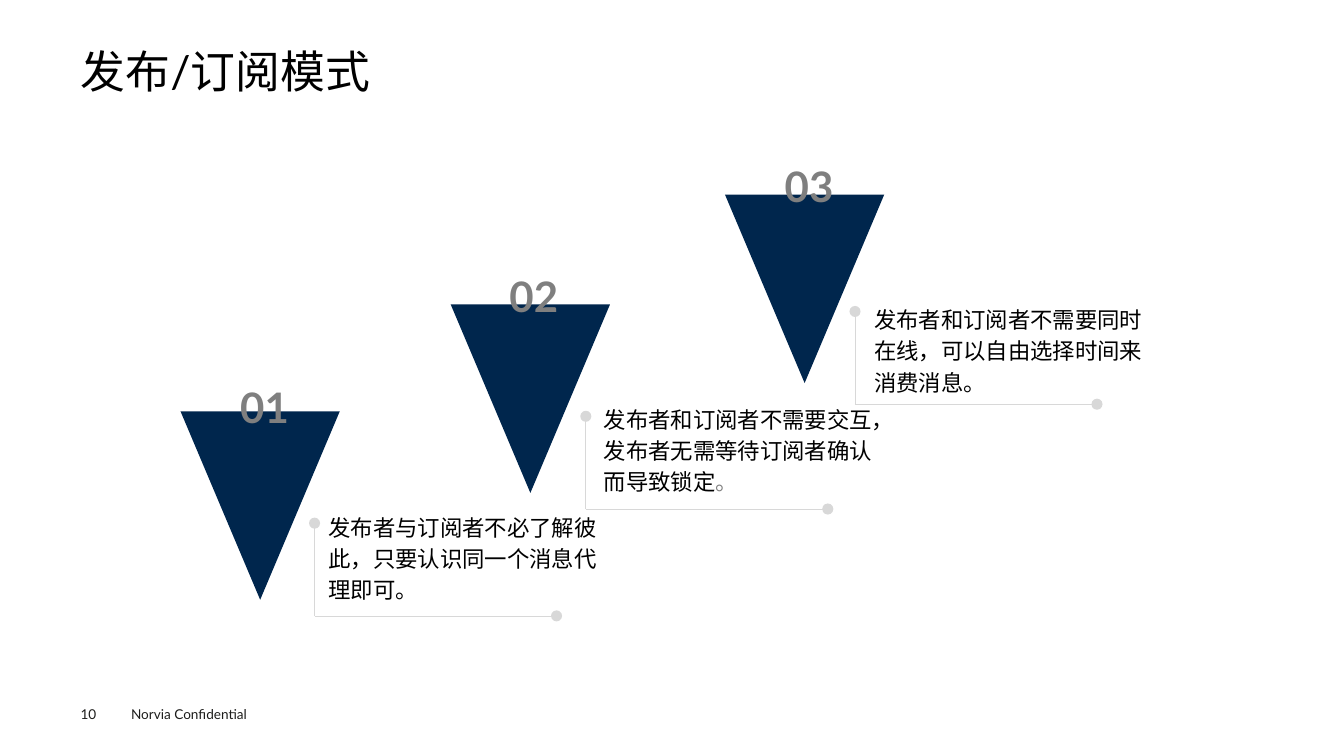
from pptx import Presentation
from pptx.dml.color import RGBColor
from pptx.enum.lang import MSO_LANGUAGE_ID
from pptx.enum.shapes import MSO_CONNECTOR, MSO_SHAPE
from pptx.enum.text import MSO_ANCHOR, PP_ALIGN
from pptx.oxml.ns import qn
from pptx.util import Inches, Pt

TRIANGLE, DOT = MSO_SHAPE.ISOSCELES_TRIANGLE, MSO_SHAPE.OVAL
STRAIGHT = MSO_CONNECTOR.STRAIGHT
TOP, MIDDLE = MSO_ANCHOR.TOP, MSO_ANCHOR.MIDDLE
LEFT, CENTER = PP_ALIGN.LEFT, PP_ALIGN.CENTER
CHINESE = MSO_LANGUAGE_ID.SIMPLIFIED_CHINESE

COLORS = {"navy": "00264D", "gray": "7F7F7F", "rule": "D8D8D8",
          "black": "000000", "footer": "1D1D1B"}

# Content: each step has its runs and the left/top of its parts
TITLE = "发布/订阅模式"
FOOTER = "Norvia Confidential"
PAGE = "10"
STEPS = [
    {"number": "01", "triangle": (1.79, 4.08), "label": (2.26, 3.7),
     "corner": (3.12, 6.11), "body": (3.26, 5.05),
     "runs": [("发布者与订阅者不必了解彼此，只要认识同一个消息代理即可。", "black")]},
    {"number": "02", "triangle": (4.47, 3.02), "label": (4.93, 2.6),
     "corner": (5.81, 5.05), "body": (5.99, 3.98),
     "runs": [("发布者和订阅者不需要交互，发布者无需等待订阅者确认而导致锁定", "black"),
              ("。", "gray")]},
    {"number": "03", "triangle": (7.19, 1.93), "label": (7.66, 1.51),
     "corner": (8.48, 4.01), "body": (8.67, 2.99),
     "runs": [("发布者和订阅者不需要同时在线，可以自由选择时间来消费消息。", "black")]},
]

# Sizes shared by all steps
TRIANGLE_SIZE = (1.58, 1.87)
LABEL_SIZE = (0.73, 0.59)
BODY_SIZE = (2.66, 0.94)
BRACKET_WIDTH, BRACKET_HEIGHT = 2.4, 0.92
DOT_SIZE = 0.11

# Text formats
TITLE_FORMAT = {"size": Pt(32), "language_id": CHINESE}
NUMBER_FORMAT = {"size": Pt(30), "bold": True}
BODY_FORMAT = {"size": Pt(16), "language_id": CHINESE}
FOOTER_FORMAT = {"size": Pt(9.7)}

prs = Presentation()
prs.slide_width, prs.slide_height = Inches(13.33), Inches(7.5)
slide = prs.slides.add_slide(prs.slide_layouts[6])


def color(name):
    return RGBColor.from_string(COLORS[name])


def add_text(place, size, runs, font_format, anchor=TOP, align=LEFT, spacing=1.0):
    box = slide.shapes.add_textbox(*map(Inches, place + size))
    frame = box.text_frame
    frame_format = {"word_wrap": True, "vertical_anchor": anchor, "margin_left": 0,
                    "margin_right": 0, "margin_top": 0, "margin_bottom": 0}
    for key, value in frame_format.items():
        setattr(frame, key, value)
    paragraph = frame.paragraphs[0]
    paragraph.alignment, paragraph.line_spacing = align, spacing
    for words, shade in runs:
        run = paragraph.add_run()
        run.text = words
        run.font.color.rgb = color(shade)
        for key, value in {"name": "Lato", **font_format}.items():
            setattr(run.font, key, value)


def add_solid(preset, place, size, shade, rotation=0):
    solid = slide.shapes.add_shape(preset, *map(Inches, place + size))
    solid.shadow.inherit = False
    solid.rotation = rotation
    solid.fill.solid()
    solid.fill.fore_color.rgb = color(shade)
    solid.line.fill.background()


def add_bracket(corner):
    """Two thin rules from the corner, each ending in a dot."""
    x, y = corner
    for end_x, end_y in ((x, y - BRACKET_HEIGHT), (x + BRACKET_WIDTH, y)):
        rule = slide.shapes.add_connector(
            STRAIGHT, *map(Inches, (x, y, end_x, end_y)))
        rule.line.color.rgb = color("rule")
        rule.line.width = Pt(0.5)
        properties = rule._element.spPr
        properties.append(properties.makeelement(qn("a:effectLst"), {}))
        add_solid(DOT, (end_x - DOT_SIZE / 2, end_y - DOT_SIZE / 2),
                  (DOT_SIZE, DOT_SIZE), "rule")


# Title and footer
add_text((0.8, 0.49), (11.73, 0.54), [(TITLE, "black")], TITLE_FORMAT, spacing=0.9)
add_text((0.8, 7), (0.4, 0.16), [(PAGE, "footer")], FOOTER_FORMAT)
add_text((1.3, 7), (1.6, 0.16), [(FOOTER, "footer")], FOOTER_FORMAT)

# Rising steps
for step in STEPS:
    add_solid(TRIANGLE, step["triangle"], TRIANGLE_SIZE, "navy", rotation=180)
    add_text(step["label"], LABEL_SIZE, [(step["number"], "gray")], NUMBER_FORMAT,
             MIDDLE, CENTER, 1.16)
    add_bracket(step["corner"])
    add_text(step["body"], BODY_SIZE, step["runs"], BODY_FORMAT, MIDDLE, spacing=1.16)

prs.save("out.pptx")
